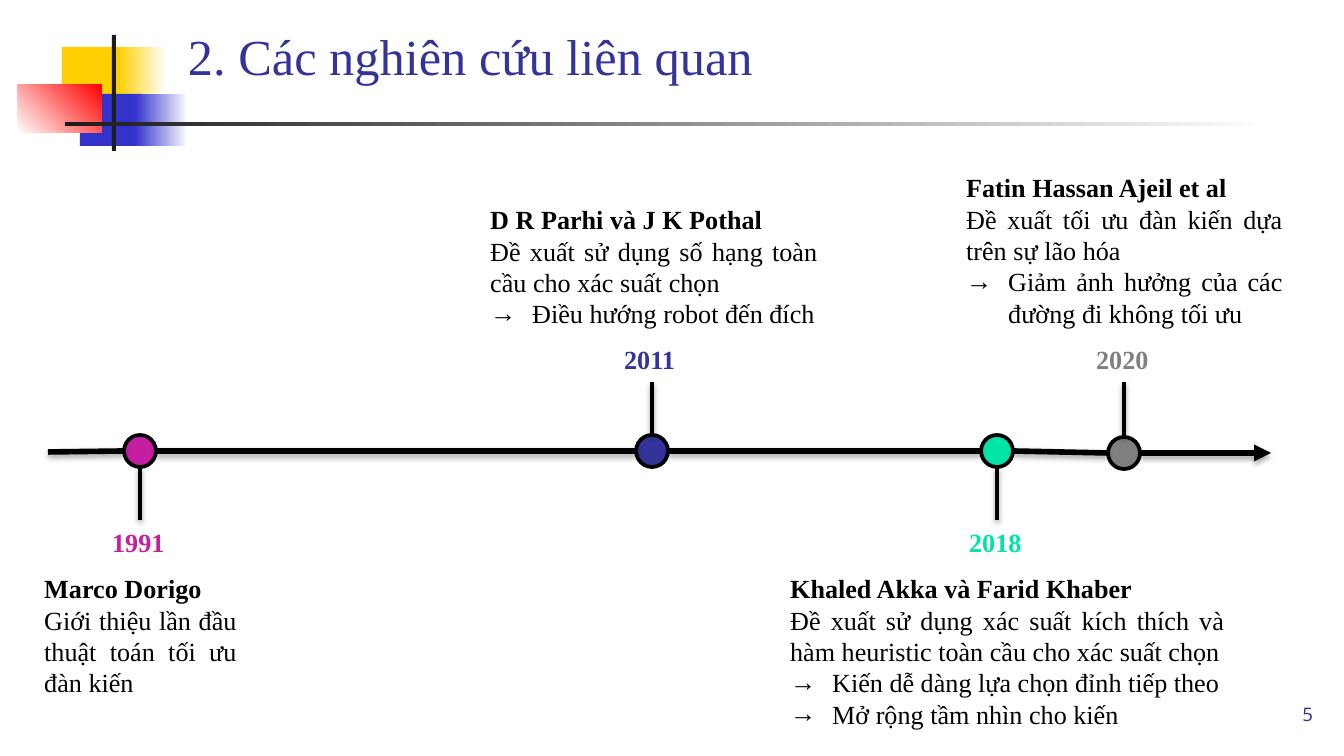
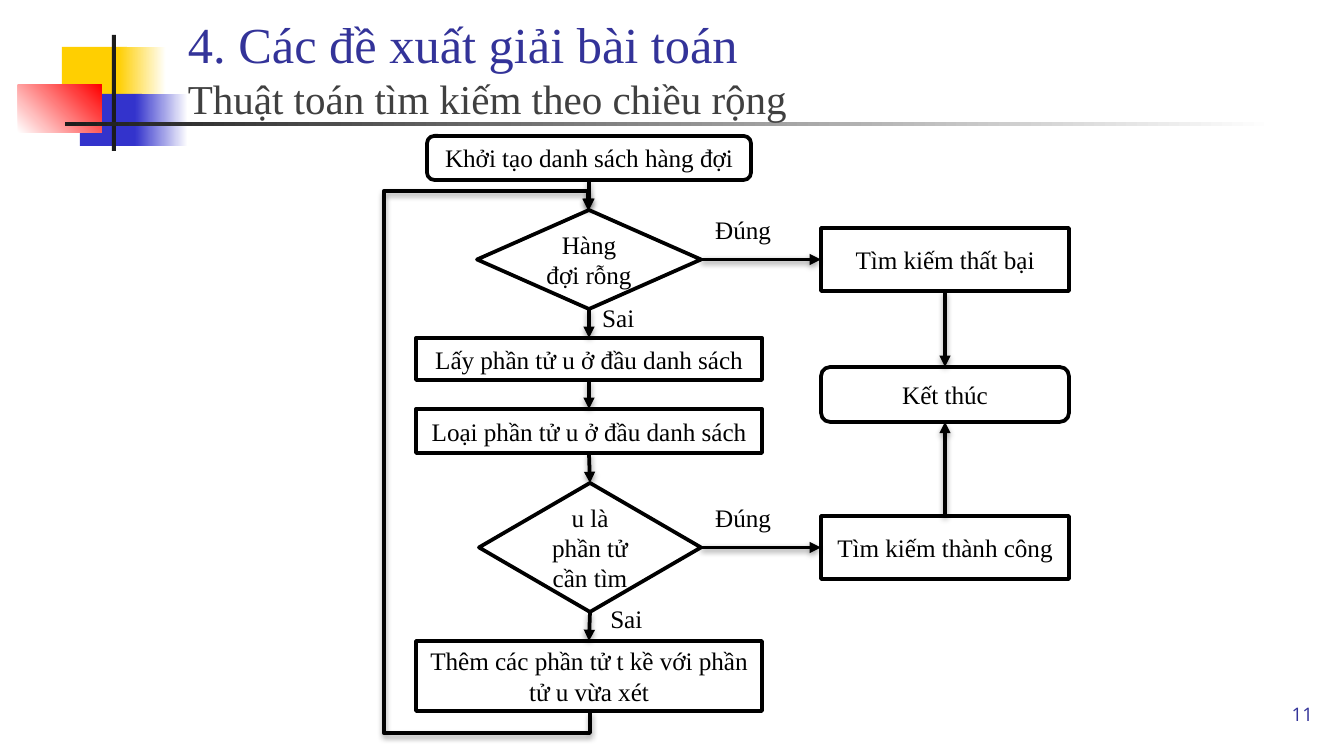
import collections
import dataclasses

import pptx
import pptx.dml.color
import pptx.enum.shapes
import pptx.enum.text
import pptx.oxml
import pptx.oxml.ns
import pptx.util
from lxml import etree

SHAPE = pptx.enum.shapes.MSO_SHAPE
CONNECTOR = pptx.enum.shapes.MSO_CONNECTOR
ALIGN = pptx.enum.text.PP_ALIGN
ANCHOR = pptx.enum.text.MSO_ANCHOR
qn = pptx.oxml.ns.qn

Box = collections.namedtuple("Box", "x y w h")
TOP, LEFT, BOTTOM, RIGHT = range(4)


@dataclasses.dataclass(frozen=True)
class Theme:
    font: str = "Times New Roman"
    number_font: str = "Open Sans"
    white: str = "FFFFFF"
    black: str = "000000"
    navy: str = "333399"
    grey: str = "404040"
    charcoal: str = "1C1C1C"
    yellow: str = "FFCF01"
    blue: str = "3333CC"
    red: str = "FF0000"
    magenta: str = "C61EA2"
    mint: str = "00E4A8"
    silver: str = "808080"
    title: float = 27
    subtitle: float = 22
    note: float = 14
    flow: float = 13.5
    number: float = 10
    thin: float = 2
    thick: float = 3


T = Theme()


# Basic helpers
def px(n):
    return pptx.util.Emu(round(n * 914400 / 134.4))


def rgb(color):
    return pptx.dml.color.RGBColor.from_string(color)


def inside(box, x, y, w, h):
    return Box(box.x + x, box.y + y, w, h)


def write(p, text, size=T.note, color=T.black, font=T.font, bold=False,
          align=ALIGN.LEFT, bullet=None):
    p.alignment = align
    r = p.add_run()
    r.text = text
    r.font.size = pptx.util.Pt(size)
    r.font.name = font
    r.font.bold = bold
    r.font.color.rgb = rgb(color)
    if bullet:
        pPr = p._p.get_or_add_pPr()
        pPr.set("marL", str(px(42)))
        pPr.set("indent", str(-px(42)))
        clr = etree.SubElement(pPr, qn("a:buClr"))
        etree.SubElement(clr, qn("a:srgbClr"), val=color)
        etree.SubElement(pPr, qn("a:buFont"), typeface=font)
        etree.SubElement(pPr, qn("a:buChar"), char=bullet)


def add_text(s, box, grow=True, anchor=ANCHOR.TOP, inset=None):
    tf = s.shapes.add_textbox(*map(px, box)).text_frame
    tf.word_wrap = True
    tf.vertical_anchor = anchor
    if grow:
        tf.auto_size = pptx.enum.text.MSO_AUTO_SIZE.SHAPE_TO_FIT_TEXT
    if inset:
        tf.margin_left = tf.margin_right = px(inset)
        tf.margin_top = tf.margin_bottom = px(inset)
    return tf


def add_shape(s, kind, box, fill, fill_end=None, angle=0, line=None):
    sp = s.shapes.add_shape(kind, *map(px, box))
    sp.shadow.inherit = False
    if fill_end:
        sp.fill.gradient()
        sp.fill.gradient_angle = angle
        for stop, color in zip(sp.fill.gradient_stops, (fill, fill_end)):
            stop.color.rgb = rgb(color)
    else:
        sp.fill.solid()
        sp.fill.fore_color.rgb = rgb(fill)
    if line:
        sp.line.color.rgb = rgb(line)
        sp.line.width = pptx.util.Pt(T.thin)
    else:
        sp.line.fill.background()
    return sp


def add_line(s, start, end, width=T.thin, arrow=False, kind=CONNECTOR.STRAIGHT):
    c = s.shapes.add_connector(kind, *map(px, (*start, *end)))
    c.line.color.rgb = rgb(T.black)
    c.line.width = pptx.util.Pt(width)
    spPr = c.element.spPr
    if arrow:
        etree.SubElement(spPr.find(qn("a:ln")), qn("a:tailEnd"), type="triangle")
    # Soft shadow straight below the line
    dist, alpha = (23000, 35000) if width == T.thick else (20000, 38000)
    effects = etree.SubElement(spPr, qn("a:effectLst"))
    shadow = etree.SubElement(effects, qn("a:outerShdw"), blurRad="40000",
                              dist=str(dist), dir="5400000", rotWithShape="0")
    clr = etree.SubElement(shadow, qn("a:srgbClr"), val=T.black)
    etree.SubElement(clr, qn("a:alpha"), val=str(alpha))
    return c


# Parts that every slide shares
def ornament(s, box):
    for x, y, w, h, *colors in (
        (44, 12, 65, 52, T.yellow),
        (100, 12, 48, 52, T.yellow, T.white),
        (62, 59, 62, 52, T.blue),
        (117, 59, 53, 52, T.blue, T.white),
        (0, 50, 84, 48, T.white, T.red, 45),
        (94, 0, 4, 116, T.charcoal),
        (47, 87, 1210, 4, T.charcoal, T.white),
    ):
        add_shape(s, SHAPE.RECTANGLE, inside(box, x, y, w, h), *colors)


def footer(s, box, number):
    add_shape(s, SHAPE.RECTANGLE, inside(box, 0, 57, box.w, 14), T.white)
    tf = add_text(s, inside(box, 1246, 0, 80, 58), grow=False,
                  anchor=ANCHOR.MIDDLE, inset=13)
    write(tf.paragraphs[0], number, size=T.number, color=T.navy,
          font=T.number_font, align=ALIGN.RIGHT)


def heading(s, box, title, subtitle=None):
    p = add_text(s, box, grow=False, inset=13).paragraphs[0]
    write(p, title, size=T.title, color=T.navy)
    if subtitle:
        p.add_line_break()
        write(p, subtitle, size=T.subtitle, color=T.grey)


def new_slide(prs, number, title_box, *titles):
    s = prs.slides.add_slide(prs.slide_layouts[6])
    ornament(s, Box(18, 35, 1257, 116))
    footer(s, Box(0, 685, 1344, 71), number)
    heading(s, title_box, *titles)
    return s


# Timeline: a circle, a stem, a year and a note for each milestone
Milestone = collections.namedtuple(
    "Milestone", "year color x dy above note_x note_w note_h author finding results")

MILESTONES = (
    Milestone("1991", T.magenta, 110, 0, False, 1, 219, 140, "Marco Dorigo",
              "Giới thiệu lần đầu thuật toán tối ưu đàn kiến", ()),
    Milestone("2011", T.navy, 622, 0, True, 447, 354, 140, "D R Parhi và J K Pothal",
              "Đề xuất sử dụng số hạng toàn cầu cho xác suất chọn",
              ("Điều hướng robot đến đích",)),
    Milestone("2018", T.mint, 967, 0, False, 747, 461, 172, "Khaled Akka và Farid Khaber",
              "Đề xuất sử dụng xác suất kích thích và hàm heuristic toàn cầu cho xác suất chọn",
              ("Kiến dễ dàng lựa chọn đỉnh tiếp theo", "Mở rộng tầm nhìn cho kiến")),
    Milestone("2020", T.silver, 1094, 2, True, 923, 343, 172, "Fatin Hassan Ajeil et al",
              "Đề xuất tối ưu đàn kiến dựa trên sự lão hóa",
              ("Giảm ảnh hưởng của các đường đi không tối ưu",)),
)


def timeline(s, box, milestones):
    radius, axis = 16, box.y + 291
    start = (box.x + 18, axis + 1)
    for m in milestones:
        x, y = box.x + m.x, axis + m.dy
        add_shape(s, SHAPE.OVAL, Box(x - radius, y - radius, 2 * radius, 2 * radius),
                  m.color, line=T.black)
        add_line(s, start, (x - radius, y), width=T.thick)
        start = (x + radius, y)
        if m.above:
            stem = (y - radius, box.y + 222)
            year_y, note_y = 177, 177 - m.note_h
        else:
            stem = (y + radius, box.y + 360)
            year_y, note_y = 360, 406
        add_line(s, (x, stem[0]), (x, stem[1]))
        tf = add_text(s, inside(box, m.x - 41, year_y, 82, 45))
        write(tf.paragraphs[0], m.year, color=m.color, bold=True)
        tf = add_text(s, inside(box, m.note_x, note_y, m.note_w, m.note_h))
        write(tf.paragraphs[0], m.author, bold=True)
        write(tf.add_paragraph(), m.finding, align=ALIGN.JUSTIFY)
        for result in m.results:
            write(tf.add_paragraph(), result, align=ALIGN.JUSTIFY, bullet="→")
    add_line(s, start, (box.x + 1241, start[1]), width=T.thick, arrow=True)


# Flowchart of the breadth-first search
STEPS = {
    "init": (SHAPE.ROUNDED_RECTANGLE, 47, 6, 324, 44, "Khởi tạo danh sách hàng đợi"),
    "empty": (SHAPE.DIAMOND, 97, 80, 224, 99, "Hàng đợi rỗng"),
    "take": (SHAPE.RECTANGLE, 36, 208, 346, 42, "Lấy phần tử u ở đầu danh sách"),
    "remove": (SHAPE.RECTANGLE, 36, 279, 346, 44, "Loại phần tử u ở đầu danh sách"),
    "found": (SHAPE.DIAMOND, 99, 353, 222, 129, "u là phần tử cần tìm"),
    "add": (SHAPE.RECTANGLE, 36, 511, 346, 70, "Thêm các phần tử t kề với phần tử u vừa xét"),
    "failure": (SHAPE.RECTANGLE, 441, 98, 248, 63, "Tìm kiếm thất bại"),
    "success": (SHAPE.RECTANGLE, 441, 386, 248, 63, "Tìm kiếm thành công"),
    "end": (SHAPE.ROUNDED_RECTANGLE, 441, 237, 248, 55, "Kết thúc"),
}
ARROWS = (
    ("init", BOTTOM, "empty", TOP),
    ("empty", BOTTOM, "take", TOP),
    ("take", BOTTOM, "remove", TOP),
    ("remove", BOTTOM, "found", TOP),
    ("found", BOTTOM, "add", TOP),
    ("empty", RIGHT, "failure", LEFT),
    ("failure", BOTTOM, "end", TOP),
    ("success", TOP, "end", BOTTOM),
    ("found", RIGHT, "success", LEFT),
)
ANSWERS = (("Đúng", 322, 78), ("Đúng", 322, 366), ("Sai", 217, 467), ("Sai", 209, 166))


def loop_back(s, start, end, left, low, high):
    """Five-part elbow going up from start to end by way of the left side."""
    rise, run = start[1] - end[1], start[0] - end[0]
    c = add_line(s, start, end, arrow=True, kind=CONNECTOR.ELBOW)
    c.left = px((start[0] + end[0] - rise) / 2)
    c.top = px((start[1] + end[1] - run) / 2)
    c.width, c.height = px(rise), px(run)
    xfrm = c.element.spPr.find(qn("a:xfrm"))
    xfrm.attrib.pop("flipV", None)
    xfrm.set("rot", "5400000")
    xfrm.set("flipH", "1")
    geom = c.element.spPr.find(qn("a:prstGeom"))
    geom.set("prst", "bentConnector5")
    for child in list(geom):
        geom.remove(child)
    guides = etree.SubElement(geom, qn("a:avLst"))
    ratios = ((start[1] - low) / rise, (start[0] - left) / run, (start[1] - high) / rise)
    for i, ratio in enumerate(ratios, 1):
        etree.SubElement(guides, qn("a:gd"), name=f"adj{i}",
                         fmla=f"val {round(ratio * 100000)}")


def flowchart(s, box):
    nodes = {}
    for name, (kind, x, y, w, h, text) in STEPS.items():
        sp = add_shape(s, kind, inside(box, x, y, w, h), T.white, line=T.black)
        tf = sp.text_frame
        tf.word_wrap = True
        tf.vertical_anchor = ANCHOR.MIDDLE
        write(tf.paragraphs[0], text, size=T.flow, align=ALIGN.CENTER)
        nodes[name] = sp
    for source, out, target, into in ARROWS:
        c = add_line(s, (0, 0), (0, 0), arrow=True)
        c.begin_connect(nodes[source], out)
        c.end_connect(nodes[target], into)
    for text, x, y in ANSWERS:
        tf = add_text(s, inside(box, x, y, 97, 44))
        write(tf.paragraphs[0], text, size=T.flow)
    loop_back(s, (box.x + 210, box.y + 581), (box.x + 208, box.y + 80),
              left=box.x + 5, low=box.y + 603, high=box.y + 61)


def main():
    prs = pptx.Presentation()
    prs.slide_width, prs.slide_height = px(1344), px(756)

    s = new_slide(prs, "5", Box(175, 12, 1124, 102), "2. Các nghiên cứu liên quan")
    timeline(s, Box(30, 160, 1266, 580), MILESTONES)

    s = new_slide(prs, "11", Box(175, 0, 1124, 122), "4. Các đề xuất giải bài toán",
                  "Thuật toán tìm kiếm theo chiều rộng")
    flowchart(s, Box(380, 130, 689, 603))

    prs.save("out.pptx")


if __name__ == "__main__":
    main()
